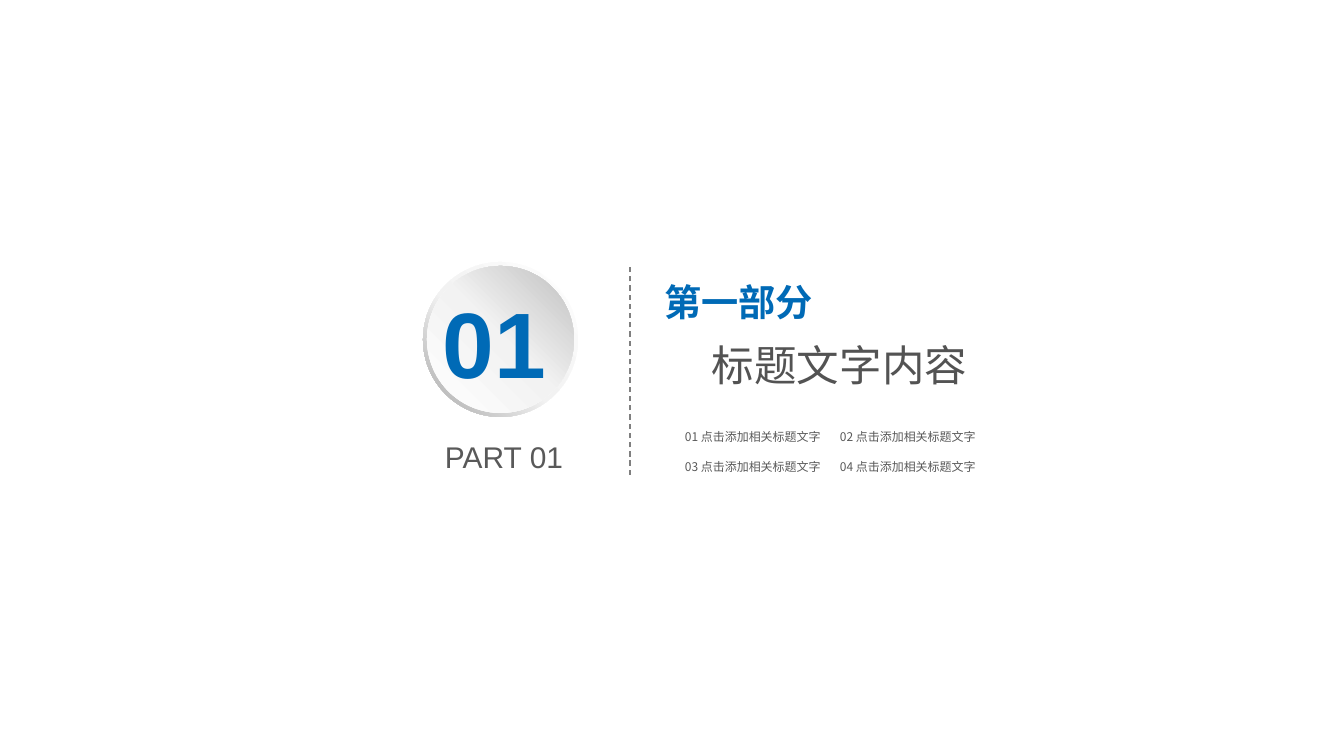
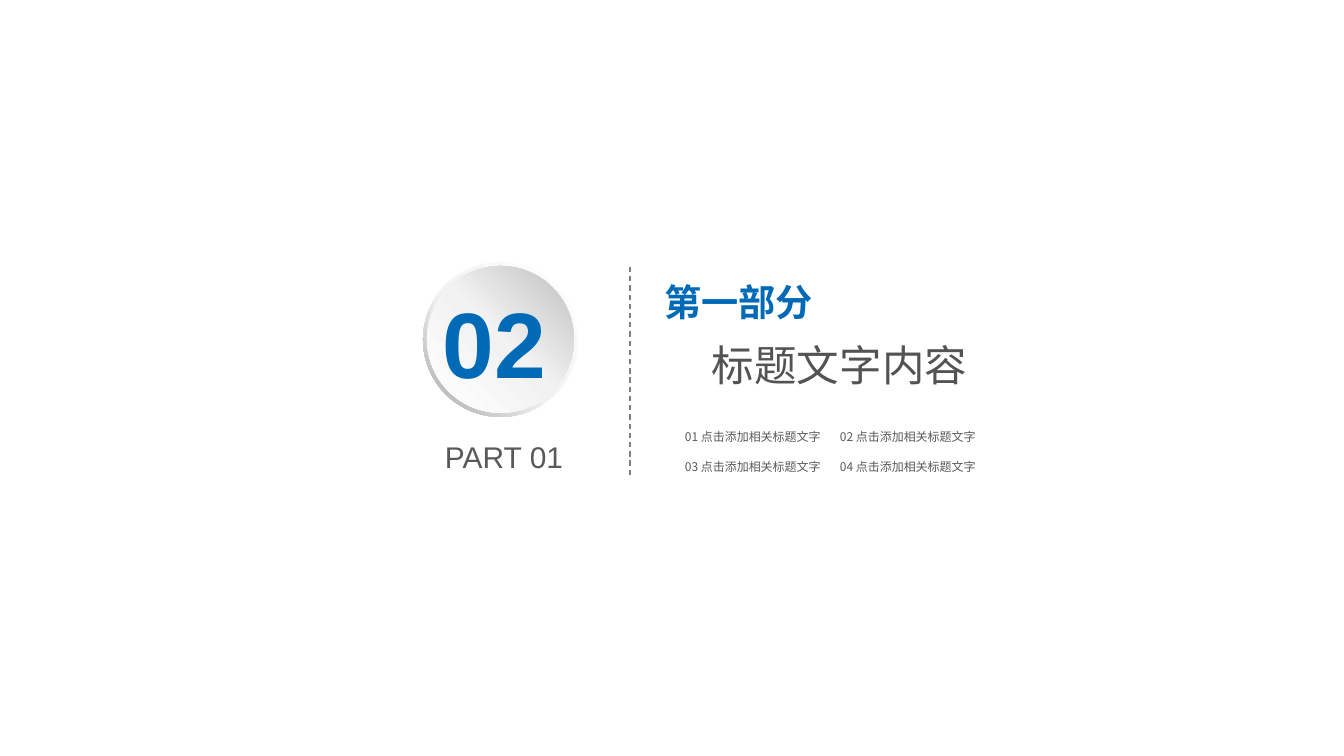
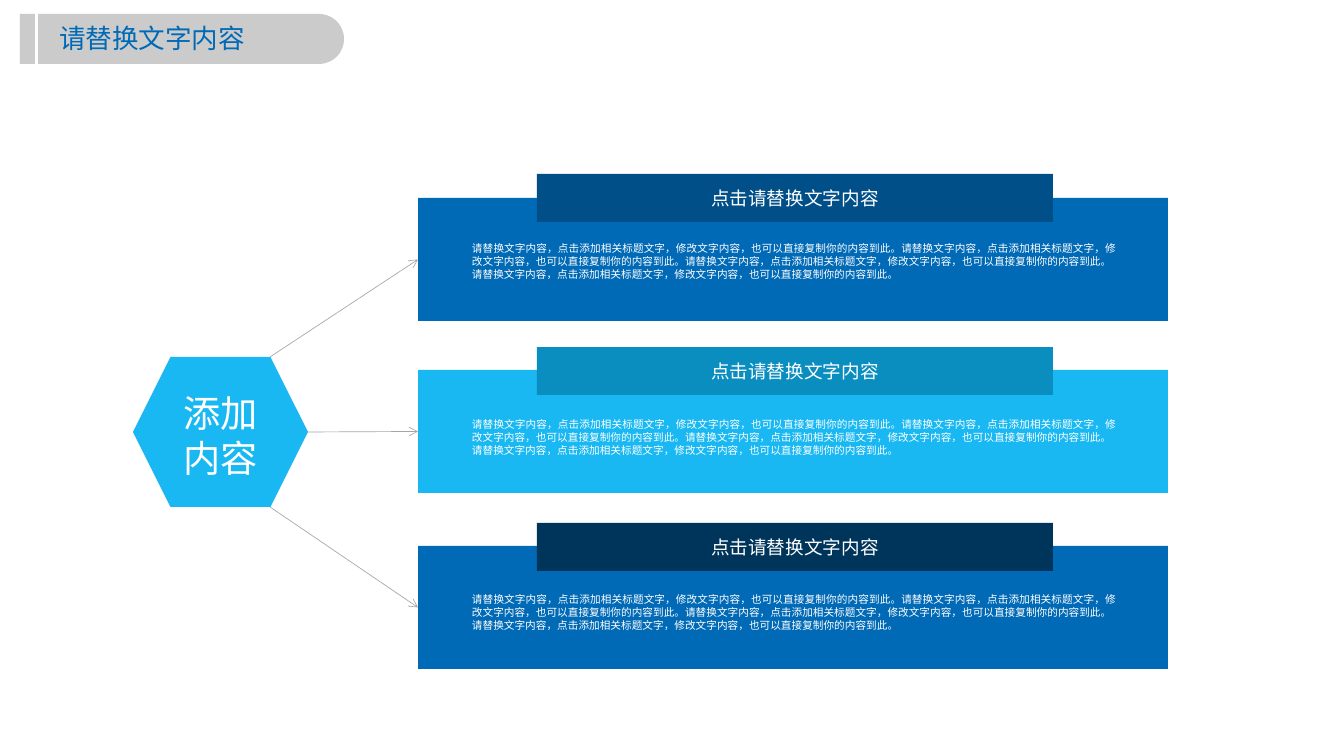
from lxml.etree import SubElement
from pptx import Presentation
from pptx.dml.color import RGBColor
from pptx.enum.dml import MSO_LINE
from pptx.enum.shapes import MSO_CONNECTOR, MSO_SHAPE
from pptx.enum.text import MSO_ANCHOR, MSO_AUTO_SIZE, PP_ALIGN
from pptx.oxml.ns import qn
from pptx.util import Pt

EMU_PER_PX = 9565
SLIDE_WIDTH, SLIDE_HEIGHT = 1344, 756
TITLE_ONLY = 5

BLUE = RGBColor(0x00, 0x6A, 0xB6)
DEEP_BLUE = RGBColor(0x00, 0x4F, 0x88)
NAVY = RGBColor(0x00, 0x35, 0x5B)
SKY = RGBColor(0x1A, 0xB8, 0xF3)
TEAL = RGBColor(0x0A, 0x8E, 0xC0)
WHITE = RGBColor(0xFF, 0xFF, 0xFF)
TITLE_GREY = RGBColor(0x53, 0x53, 0x53)
TEXT_GREY = RGBColor(0x59, 0x59, 0x59)
DASH_GREY = RGBColor(0x7F, 0x7F, 0x7F)
ARROW_GREY = RGBColor(0xA6, 0xA6, 0xA6)
BAND_GREY = RGBColor(0xBF, 0xBF, 0xBF)

LATIN_FONT = "Arial"
CHINESE_FONT = "Noto Sans CJK SC"

RING_STOPS = [(0, "FFFFFF"), (55, "F2F2F2"), (100, "A6A6A6")]
DISC_STOPS = [(0, "FFFFFF"), (51, "F2F2F2"), (100, "BFBFBF")]

SENTENCE = "请替换文字内容，点击添加相关标题文字，修改文字内容，也可以直接复制你的内容到此。"
PANEL_HEADING = "点击请替换文字内容"
PANELS = [
    (198, 174, 237, BLUE, DEEP_BLUE),
    (370, 347, 413, SKY, TEAL),
    (546, 523, 588, BLUE, NAVY),
]


def px(value):
    return int(value * EMU_PER_PX)


def box(*lengths):
    return [px(length) for length in lengths]


def set_frame(shape, insets=(0, 0, 0, 0), anchor=MSO_ANCHOR.TOP):
    frame = shape.text_frame
    frame.word_wrap = True
    frame.auto_size = MSO_AUTO_SIZE.NONE
    frame.vertical_anchor = anchor
    frame.margin_left, frame.margin_top, frame.margin_right, frame.margin_bottom = box(*insets)
    return frame


def write_text(frame, text, size, color, font=LATIN_FONT, bold=False,
               align=PP_ALIGN.LEFT, indent=0, space_before=0):
    paragraph = frame.paragraphs[0] if not frame.text else frame.add_paragraph()
    paragraph.alignment = align
    paragraph.space_before = Pt(space_before)
    if indent:
        paragraph._p.get_or_add_pPr().set("marL", str(px(indent)))
    run = paragraph.add_run()
    run.text = text
    run.font.size = Pt(size)
    run.font.bold = bold
    run.font.color.rgb = color
    run.font.name = font
    SubElement(run._r.get_or_add_rPr(), qn("a:ea"), typeface=CHINESE_FONT)


def add_text_box(slide, bounds, text, insets=(0, 0, 0, 0), **text_format):
    text_box = slide.shapes.add_textbox(*box(*bounds))
    frame = set_frame(text_box, insets)
    write_text(frame, text, **text_format)
    return frame


def add_plain_shape(shapes, kind, bounds, color=None):
    shape = shapes.add_shape(kind, *box(*bounds))
    shape.shadow.inherit = False
    shape.line.fill.background()
    if color is not None:
        shape.fill.solid()
        shape.fill.fore_color.rgb = color
    return shape


def set_gradient(shape, stops, angle):
    shape.fill.gradient()
    shape.fill.gradient_angle = angle
    stop_list = shape.element.spPr.find(".//" + qn("a:gsLst"))
    stop_list.clear()
    for percent, color in stops:
        stop = SubElement(stop_list, qn("a:gs"), pos=str(percent * 1000))
        SubElement(stop, qn("a:srgbClr"), val=color)


def set_opacity(shape, percent):
    color = shape.element.spPr.find(".//" + qn("a:srgbClr"))
    SubElement(color, qn("a:alpha"), val=str(percent * 1000))


def add_line(slide, start, end, color, width):
    connector = slide.shapes.add_connector(MSO_CONNECTOR.STRAIGHT, *box(*start, *end))
    connector.line.color.rgb = color
    connector.line.width = Pt(width)
    SubElement(connector.element.spPr, qn("a:effectLst"))
    return connector


def add_arrow(slide, start, panel):
    arrow = add_line(slide, start, start, ARROW_GREY, 0.5)
    arrow.end_connect(panel, 1)
    SubElement(arrow.line._get_or_add_ln(), qn("a:tailEnd"), type="arrow")


def place_title(slide, bounds, insets=(0, 0, 0, 0)):
    title = slide.shapes.title
    title.left, title.top, title.width, title.height = box(*bounds)
    title.element.getparent().append(title.element)
    return set_frame(title, insets)


def add_badge(slide, number):
    group = slide.shapes.add_group_shape()
    ring = add_plain_shape(group.shapes, MSO_SHAPE.DONUT, (423, 262, 155, 155))
    ring.adjustments[0] = 0.05
    set_gradient(ring, RING_STOPS, 225)
    disc = add_plain_shape(group.shapes, MSO_SHAPE.OVAL, (427, 266, 147, 147))
    set_gradient(disc, DISC_STOPS, 45)
    add_text_box(slide, (443, 286, 133, 113), number, size=70, color=BLUE, bold=True)


def add_section_slide(presentation, number):
    slide = presentation.slides.add_slide(presentation.slide_layouts[TITLE_ONLY])
    title = place_title(slide, (650, 279, 344, 136))
    write_text(title, "第一部分", size=28, color=BLUE, font=CHINESE_FONT, bold=True, indent=14)
    write_text(title, "标题文字内容", size=32, color=TITLE_GREY, font=CHINESE_FONT,
               indent=62, space_before=11.5)

    divider = add_line(slide, (630, 475), (630, 266), DASH_GREY, 1)
    divider.line.dash_style = MSO_LINE.DASH
    add_badge(slide, number)
    add_text_box(slide, (445, 439, 133, 36), "PART 01", size=22.5, color=TEXT_GREY)

    for index in range(4):
        row, column = divmod(index, 2)
        bounds = (676 + 155 * column, 425 + 30 * row, 155, 24)
        add_text_box(slide, bounds, f"{index + 1:02d} 点击添加相关标题文字",
                     insets=(9, 5, 0, 5), size=9, color=TEXT_GREY, font=CHINESE_FONT)


def add_panel(slide, top, heading_top, text_top, color, heading_color):
    panel = add_plain_shape(slide.shapes, MSO_SHAPE.RECTANGLE, (418, top, 750, 123), color)
    heading = add_plain_shape(slide.shapes, MSO_SHAPE.RECTANGLE,
                              (537, heading_top, 516, 48), heading_color)
    write_text(set_frame(heading, (11, 5, 11, 5), MSO_ANCHOR.MIDDLE), PANEL_HEADING,
               size=14, color=WHITE, align=PP_ALIGN.CENTER)
    body_format = dict(size=8, color=WHITE, align=PP_ALIGN.JUSTIFY)
    body = add_text_box(slide, (461, text_top, 667, 56), SENTENCE * 3,
                        insets=(11, 5, 11, 5), **body_format)
    write_text(body, SENTENCE, **body_format)
    return panel


def add_title_band(slide, text):
    tab = add_plain_shape(slide.shapes, MSO_SHAPE.ROUND_2_SAME_RECTANGLE,
                          (166, -114, 50, 306), BAND_GREY)
    tab.adjustments[0] = 0.5
    tab.rotation = 90
    bar = add_plain_shape(slide.shapes, MSO_SHAPE.RECTANGLE, (20, 14, 15, 50), BAND_GREY)
    for shape in (tab, bar):
        set_opacity(shape, 80)
    write_text(place_title(slide, (52, 18, 297, 42), (7, 4, 7, 4)), text, size=20, color=BLUE)


def add_branch_slide(presentation):
    slide = presentation.slides.add_slide(presentation.slide_layouts[TITLE_ONLY])
    hexagon = add_plain_shape(slide.shapes, MSO_SHAPE.HEXAGON, (133, 357, 175, 150), SKY)
    write_text(set_frame(hexagon, (11, 11, 11, 5), MSO_ANCHOR.MIDDLE), "添加内容",
               size=28, color=WHITE, align=PP_ALIGN.CENTER)
    arrow_starts = [(270, 357), (308, 432), (270, 507)]
    for start, panel_values in zip(arrow_starts, PANELS):
        panel = add_panel(slide, *panel_values)
        add_arrow(slide, start, panel)
    add_title_band(slide, "请替换文字内容")


def main():
    presentation = Presentation()
    presentation.slide_width = px(SLIDE_WIDTH)
    presentation.slide_height = px(SLIDE_HEIGHT)
    for number in ("01", "02"):
        add_section_slide(presentation, number)
    add_branch_slide(presentation)
    presentation.save("out.pptx")


if __name__ == "__main__":
    main()
